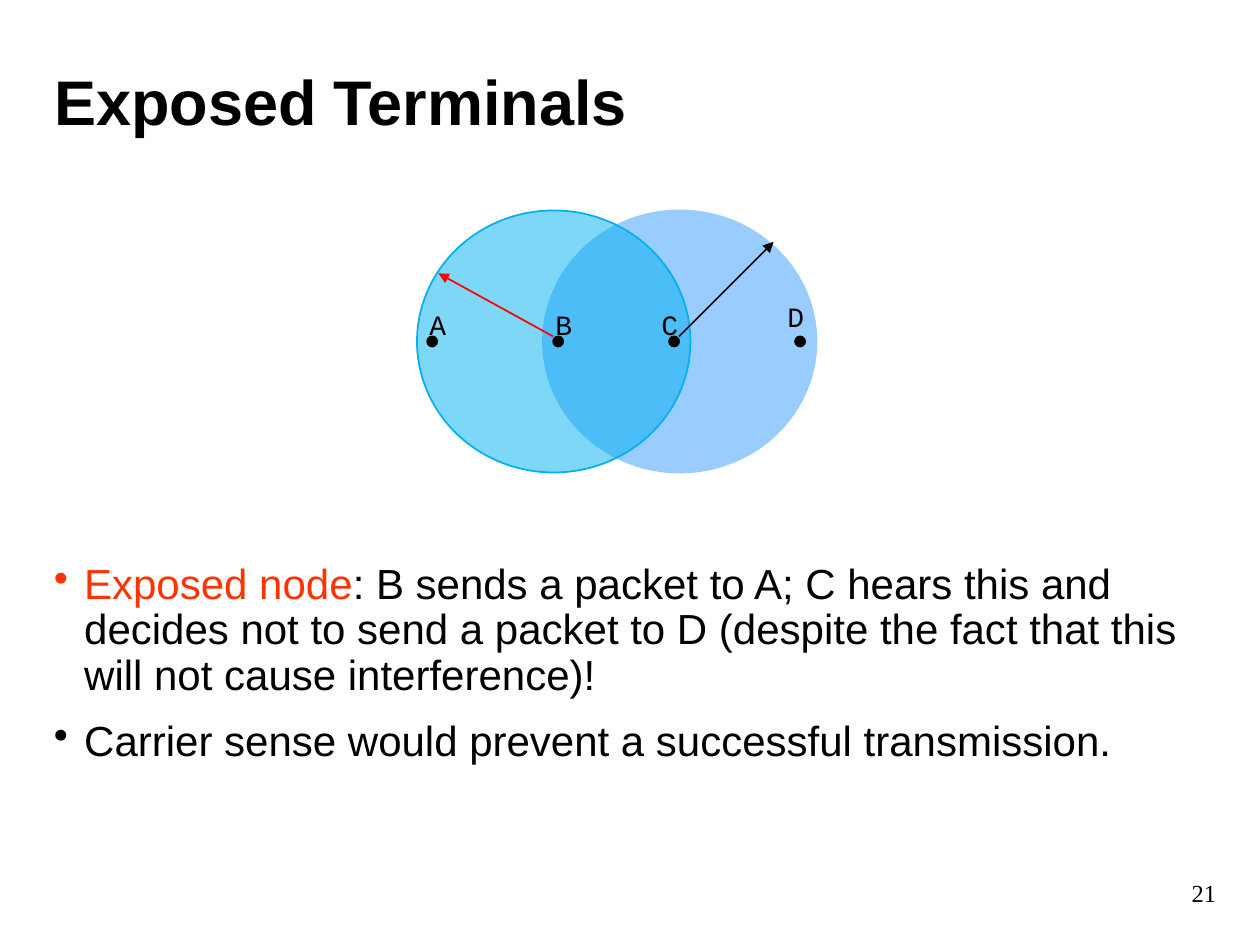
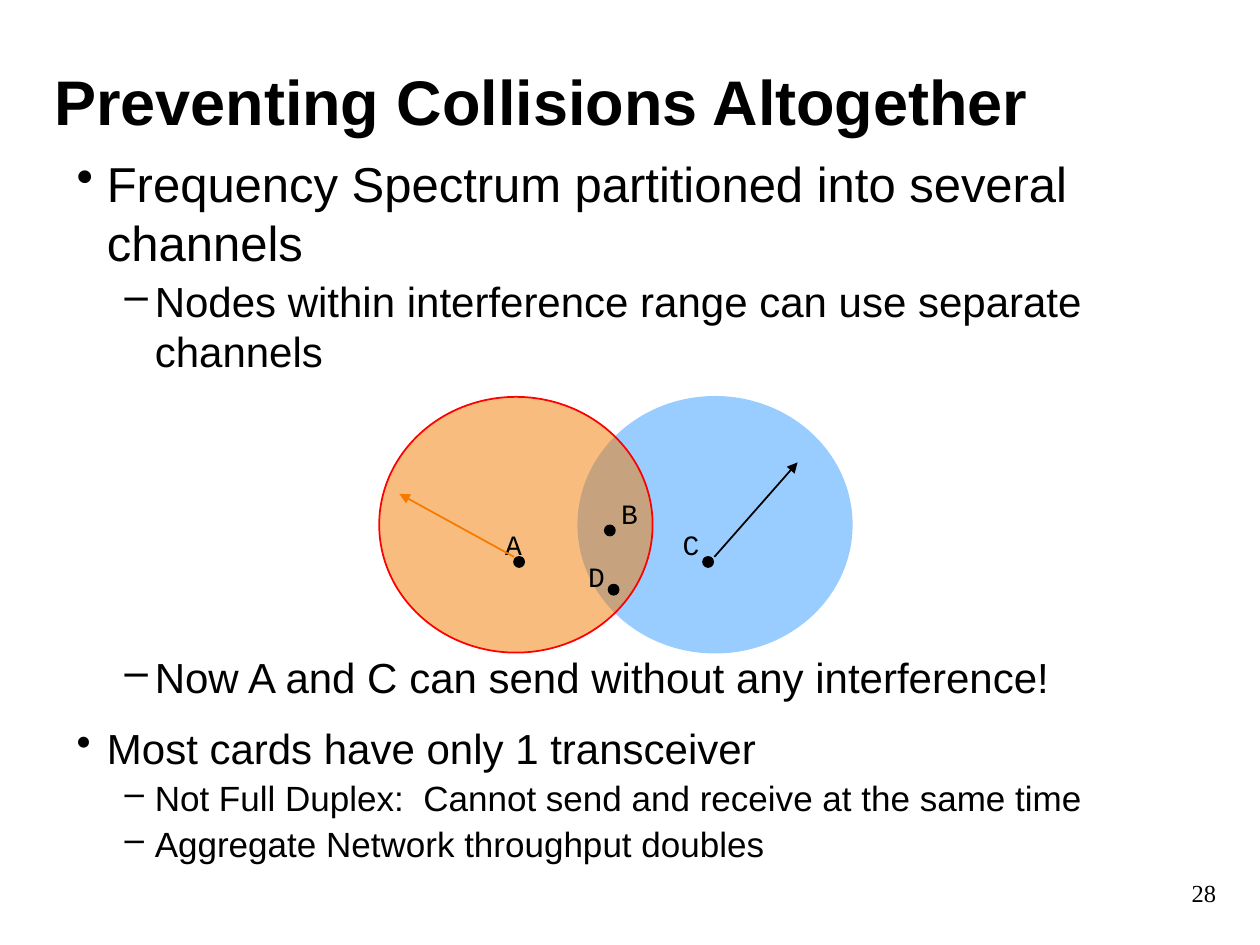
import dataclasses

import lxml.etree
import pptx
import pptx.dml.color
import pptx.enum.shapes
import pptx.enum.text
import pptx.oxml.ns
import pptx.util

Inches = pptx.util.Inches
Pt = pptx.util.Pt
qn = pptx.oxml.ns.qn
ALIGN = pptx.enum.text.PP_ALIGN
ANCHOR = pptx.enum.text.MSO_ANCHOR


@dataclasses.dataclass(frozen=True)
class Theme:
    # Colours
    ink: str = "000000"
    sky: str = "99CCFF"
    cyan: str = "00B0F0"
    red: str = "FF0000"
    amber: str = "F47A00"
    key: str = "FF3300"
    # Fonts
    sans: str = "Arial"
    mono: str = "Courier New"
    serif: str = "Times New Roman"
    # Type sizes
    title: int = 36
    large: int = 28
    body: int = 24
    small: int = 20
    label: int = 16
    page: int = 14


THEME = Theme()


def rgb(code):
    return pptx.dml.color.RGBColor.from_string(code)


def write(para, text, size=THEME.body, face=THEME.sans, color=THEME.ink, bold=False):
    """Add a formatted run to a paragraph."""
    run = para.add_run()
    run.text = text
    font = run.font
    font.size, font.name, font.bold = Pt(size), face, bold
    font.color.rgb = rgb(color)


class Deck:
    DOT = 0.08
    INDENT = 0.24
    LEVELS = ((0.24, "•", 0.5), (0.62, "–", 0.1))  # margin, mark, space before

    def __init__(self, theme):
        self.theme = theme
        self.show = pptx.Presentation()
        self.show.slide_width = Inches(10)
        self.show.slide_height = Inches(7.5)
        self.slide = None

    def start(self, title, page):
        """Begin a slide with its title and page number."""
        t = self.theme
        self.slide = self.show.slides.add_slide(self.show.slide_layouts[5])
        head = self.slide.shapes.title
        head.left, head.top = Inches(0.33), Inches(0.42)
        head.width, head.height = Inches(8.82), Inches(0.75)
        frame = head.text_frame
        frame.vertical_anchor = ANCHOR.MIDDLE
        para = frame.paragraphs[0]
        para.alignment = ALIGN.LEFT
        write(para, title, size=t.title, bold=True)
        para = self.box(8.75, 6.92, 1, 0.42).paragraphs[0]
        para.alignment = ALIGN.RIGHT
        write(para, str(page), size=t.page, face=t.serif)

    def box(self, x, y, w, h, wrap=True):
        shape = self.slide.shapes.add_textbox(Inches(x), Inches(y), Inches(w), Inches(h))
        shape.text_frame.word_wrap = wrap
        return shape.text_frame

    def list(self, x, y, w, h, items, pitch=1.0):
        """Bulleted text; each item is level, size and (text, colour) parts."""
        frame = self.box(x, y, w, h)
        for i, (level, size, *parts) in enumerate(items):
            para = frame.add_paragraph() if i else frame.paragraphs[0]
            margin, mark, space = self.LEVELS[level]
            para.level = level
            para.line_spacing = pitch
            para.space_before = Pt(size * space if i else 0)
            props = para._p.get_or_add_pPr()
            props.set("marL", str(Inches(margin)))
            props.set("indent", str(-Inches(self.INDENT)))
            lxml.etree.SubElement(props, qn("a:buChar"), char=mark)
            for text, color in parts:
                write(para, text, size=size, color=color)

    def oval(self, x, y, w, h, fill, line=None, alpha=None):
        shape = self.slide.shapes.add_shape(
            pptx.enum.shapes.MSO_SHAPE.OVAL, Inches(x), Inches(y), Inches(w), Inches(h))
        shape.shadow.inherit = False
        shape.fill.solid()
        shape.fill.fore_color.rgb = rgb(fill)
        if alpha:
            tone = shape._element.spPr.find(qn("a:solidFill")).find(qn("a:srgbClr"))
            lxml.etree.SubElement(tone, qn("a:alpha"), val=str(alpha * 1000))
        shape.line.color.rgb = rgb(line or fill)
        shape.line.width = Pt(1)

    def node(self, name, dot, tag):
        """A black dot and its letter, each placed by its top left corner."""
        t = self.theme
        self.oval(*dot, self.DOT, self.DOT, t.ink)
        frame = self.box(*tag, 0.35, 0.36, wrap=False)
        frame.auto_size = pptx.enum.text.MSO_AUTO_SIZE.SHAPE_TO_FIT_TEXT
        para = frame.paragraphs[0]
        para.alignment = ALIGN.CENTER
        write(para, name, size=t.label, face=t.mono)

    def arrow(self, start, end, color):
        line = self.slide.shapes.add_connector(
            pptx.enum.shapes.MSO_CONNECTOR.STRAIGHT, *map(Inches, start + end))
        line.line.color.rgb = rgb(color)
        line.line.width = Pt(1)
        props = line._element.spPr
        lxml.etree.SubElement(props.find(qn("a:ln")), qn("a:tailEnd"), type="triangle")
        lxml.etree.SubElement(props, qn("a:effectLst"))

    def ranges(self, left, right, y, h, fill, line):
        """Two overlapping radio ranges, the left one see-through in front."""
        self.oval(right, y, 2.17, h, self.theme.sky)
        self.oval(left, y, 2.17, h, fill, line, alpha=50)


def exposed(deck):
    t = deck.theme
    deck.start("Exposed Terminals", 21)
    deck.list(0.33, 4.42, 9.17, 2.33, [
        (0, t.body, ("Exposed node", t.key),
         (": B sends a packet to A; C hears this and decides not to send a packet to D "
          "(despite the fact that this will not cause interference)!", t.ink)),
        (0, t.body, ("Carrier sense would prevent a successful transmission.", t.ink)),
    ], pitch=0.9)
    # Radio ranges and nodes in a row
    deck.ranges(3.31, 4.31, 1.67, 2.08, t.cyan, t.cyan)
    for name, x, tag in (("A", 3.39, (3.3, 2.39)), ("B", 4.39, (4.3, 2.39)),
                         ("C", 5.31, (5.14, 2.39)), ("D", 6.31, (6.14, 2.33))):
        deck.node(name, (x, 2.67), tag)
    deck.arrow((5.39, 2.67), (6.14, 1.92), t.ink)
    deck.arrow((4.39, 2.67), (3.48, 2.17), t.red)


def channels(deck):
    t = deck.theme
    deck.start("Preventing Collisions Altogether", 28)
    # Text above and below the drawing
    deck.list(0.51, 1.17, 9.25, 1.9, [
        (0, t.large, ("Frequency Spectrum partitioned into several channels", t.ink)),
        (1, t.body, ("Nodes within interference range can use separate channels", t.ink)),
    ])
    deck.list(0.51, 5.12, 9.25, 1.9, [
        (1, t.body, ("Now A and C can send without any interference!", t.ink)),
        (0, t.body, ("Most cards have only 1 transceiver", t.ink)),
        (1, t.small, ("Not Full Duplex:  Cannot send and receive at the same time", t.ink)),
        (1, t.small, ("Aggregate Network throughput doubles", t.ink)),
    ])
    # Radio ranges and nodes
    deck.ranges(3.01, 4.59, 3.15, 2.03, t.amber, t.red)
    for name, dot, tag in (("A", (4.08, 4.42), (3.9, 4.14)), ("B", (4.8, 4.17), (4.82, 3.89)),
                           ("C", (5.58, 4.42), (5.31, 4.14)), ("D", (4.83, 4.64), (4.56, 4.39))):
        deck.node(name, dot, tag)
    deck.arrow((5.67, 4.42), (6.33, 3.67), t.ink)
    deck.arrow((4.08, 4.42), (3.17, 3.92), t.amber)


def main():
    deck = Deck(THEME)
    exposed(deck)
    channels(deck)
    deck.show.save("out.pptx")


if __name__ == "__main__":
    main()
